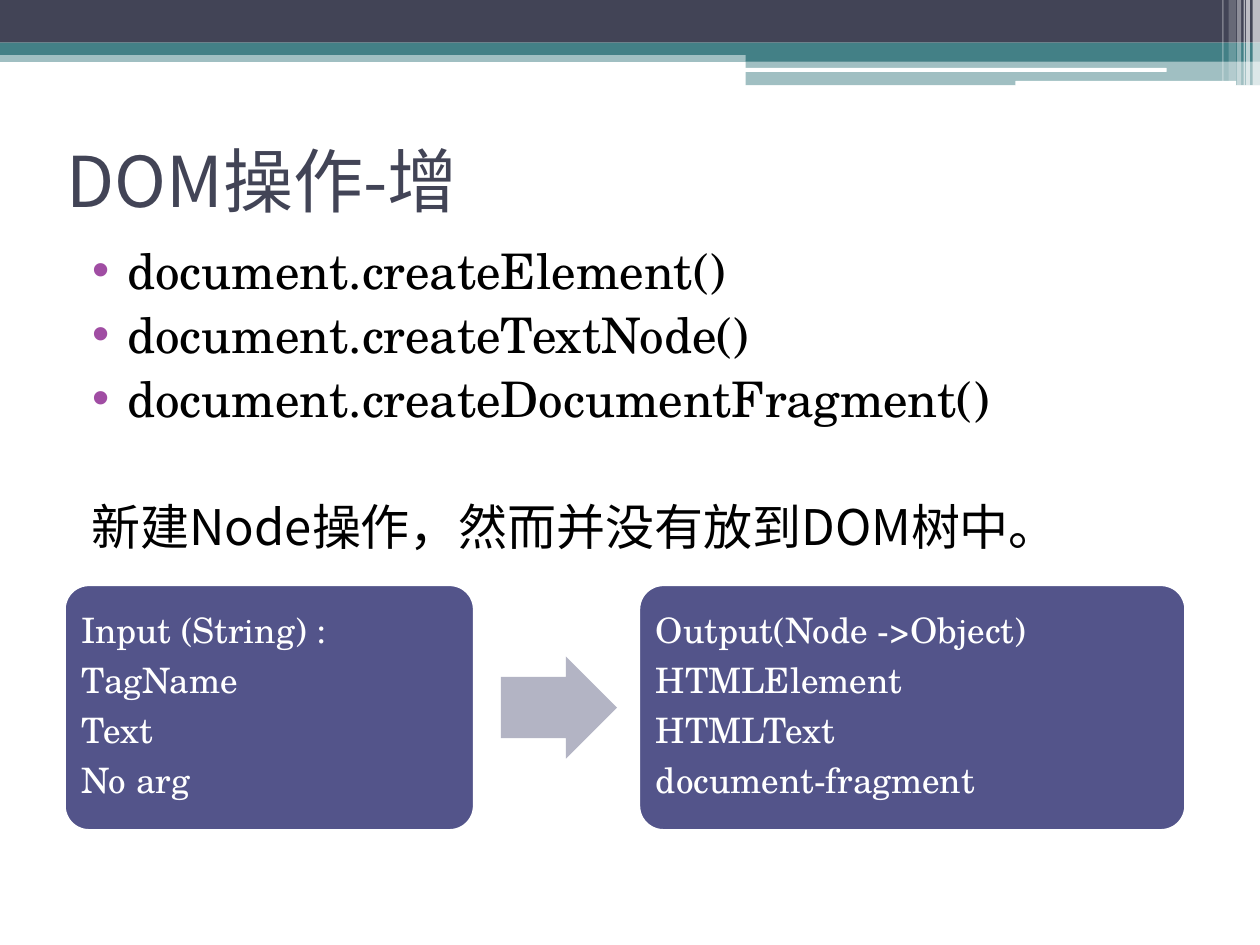
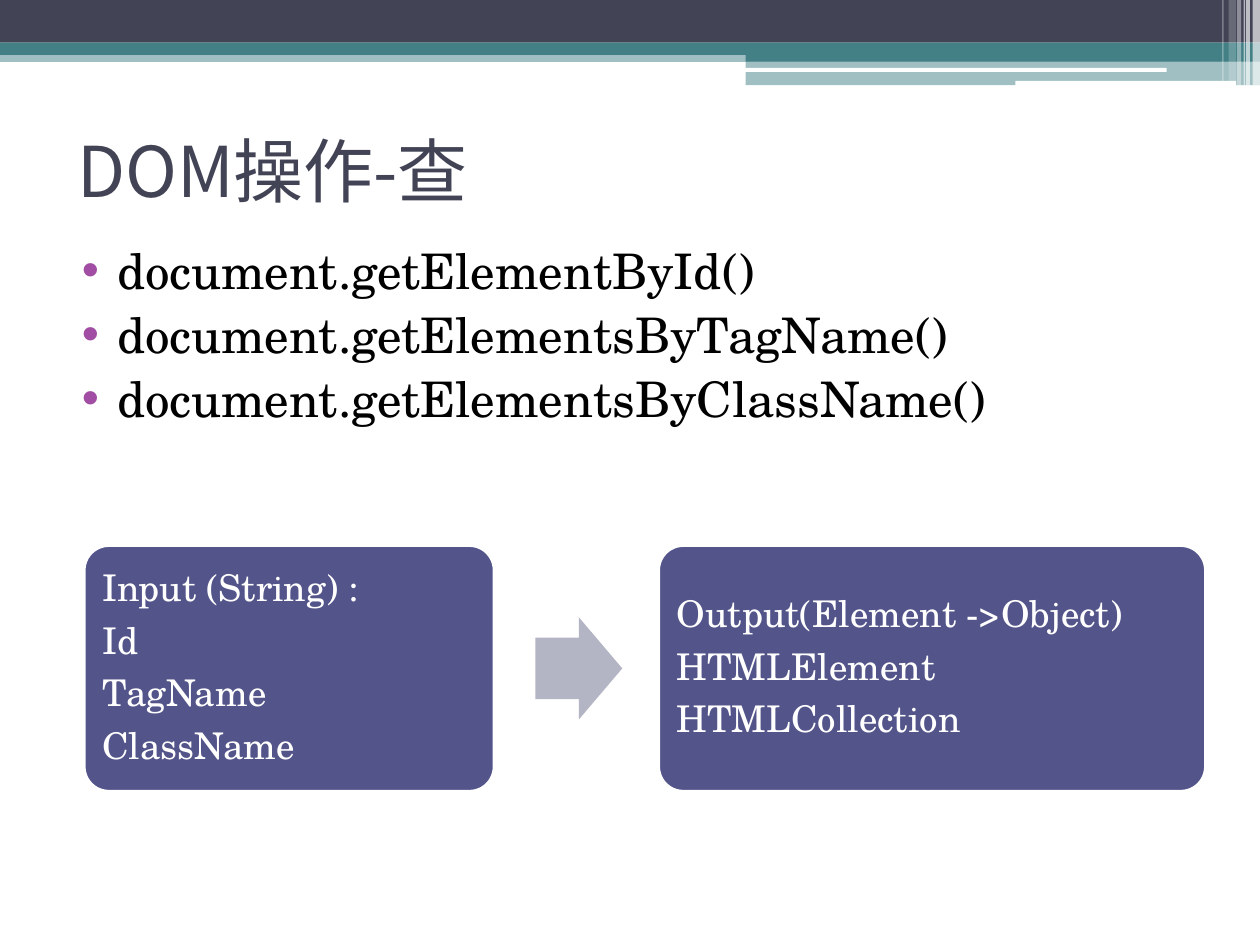
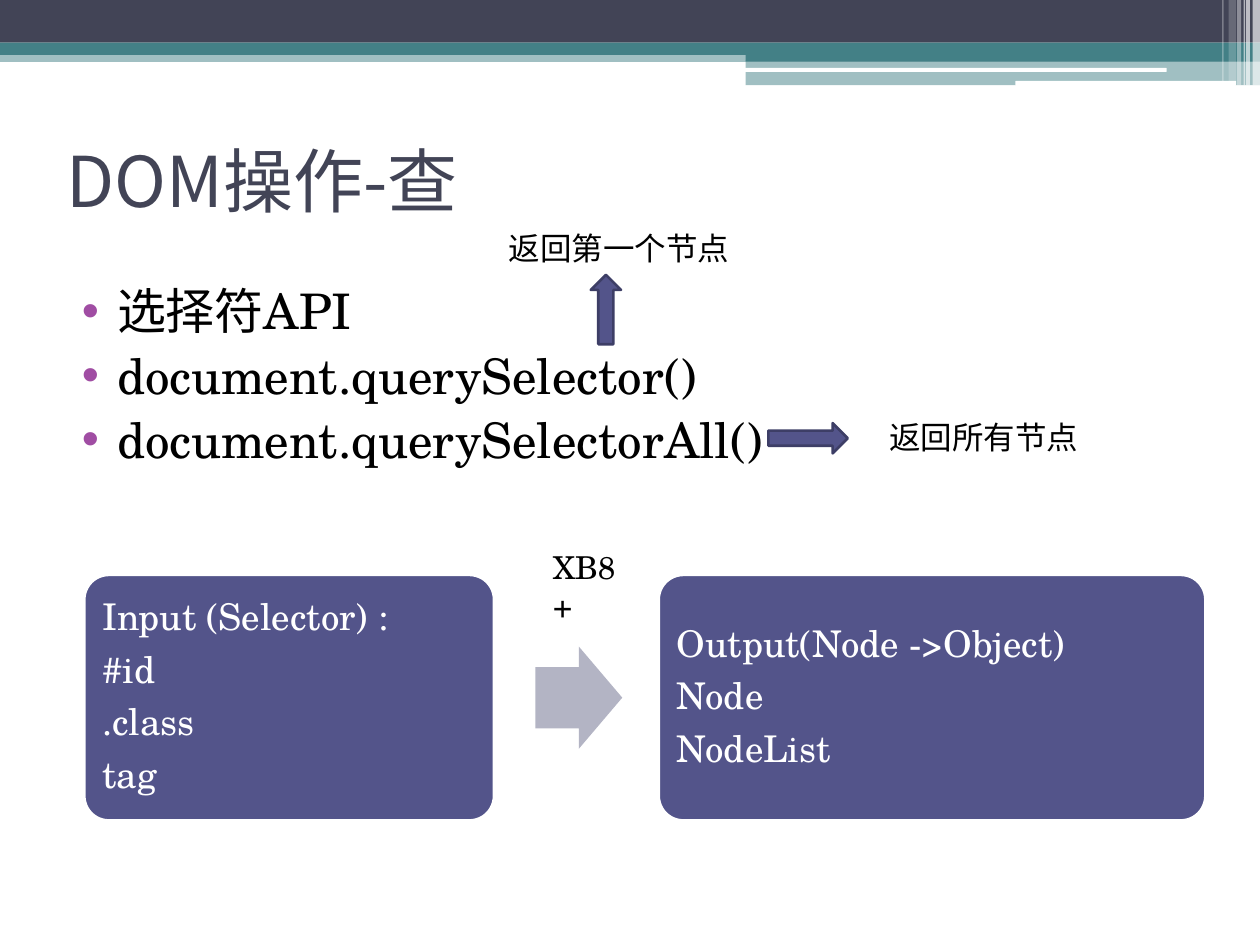
"""Build three slides about creating and querying DOM nodes."""
from dataclasses import dataclass
from typing import Optional

from lxml import etree
from pptx import Presentation
from pptx import util as u
from pptx.dml.color import RGBColor
from pptx.enum import shapes, text
from pptx.oxml.ns import qn

Cm, Pt = u.Cm, u.Pt
SHAPE, ANCHOR, FIT = shapes.MSO_SHAPE, text.MSO_ANCHOR, text.MSO_AUTO_SIZE

NAVY = RGBColor(0x42, 0x44, 0x56)
TEAL = RGBColor(0x43, 0x80, 0x86)
INDIGO = RGBColor(0x53, 0x54, 0x8A)
INDIGO_DARK = RGBColor(0x3D, 0x3E, 0x66)
LILAC = RGBColor(0xB3, 0xB4, 0xC4)
PURPLE = RGBColor(0xA0, 0x4D, 0xA3)
WHITE = RGBColor(0xFF, 0xFF, 0xFF)
BLACK = RGBColor(0, 0, 0)

SANS, SERIF = "Noto Sans CJK SC", "TeX Gyre Schola"
TITLE_ONLY = 5
CARD_HEIGHT, INPUT_WIDTH, OUTPUT_WIDTH = 4.95, 8.26, 11.02
OUTPUT_OFFSET, ARROW_CENTRE, ARROW_HEIGHT = 11.58, 9.97, 2.06


@dataclass(frozen=True)
class Box:
    """A rectangle in centimetres."""
    left: float
    top: float
    width: float
    height: float

    def lengths(self) -> list:
        """Return the four sides as lengths."""
        return [Cm(v) for v in (self.left, self.top, self.width, self.height)]


@dataclass(frozen=True)
class Band:
    """A piece of the header decoration."""
    box: Box
    color: RGBColor
    opacity: int = 100
    kind: SHAPE = SHAPE.RECTANGLE


@dataclass(frozen=True)
class Line:
    """A paragraph of the body, made of (words, font) runs."""
    runs: tuple
    bullet: bool = True
    before: float = 3


@dataclass(frozen=True)
class Flow:
    """An input card, an arrow and an output card."""
    left: float
    top: float
    arrow_width: float
    size: int
    inset: float
    inputs: tuple
    outputs: tuple


@dataclass(frozen=True)
class Note:
    """A short label beside the body."""
    box: Box
    words: str
    font: str = SANS
    wrap: bool = False


@dataclass(frozen=True)
class Page:
    """Everything one slide shows."""
    title: str
    title_at: tuple
    body: Box
    lines: tuple
    flow: Flow
    arrows: tuple = ()
    notes: tuple = ()


def strip(left: float, width: float, height: float, opacity: int) -> Band:
    """Return a translucent white strip for the right edge."""
    return Band(Box(left, 0, width, height), WHITE, opacity)


BANDS = (
    Band(Box(0, 1.02, 25.4, 0.23), TEAL, 50),
    Band(Box(0, 0, 25.4, 0.86), NAVY),
    Band(Box(0, 0.86, 25.4, 0.25), TEAL),
    Band(Box(15.03, 0.99, 10.37, 0.25), TEAL),
    Band(Box(15.03, 1.22, 10.37, 0.5), TEAL, 50),
    Band(Box(15.01, 1.37, 8.51, 0.08), WHITE, kind=SHAPE.ROUNDED_RECTANGLE),
    Band(Box(20.47, 1.63, 4.45, 0.1), WHITE, kind=SHAPE.ROUNDED_RECTANGLE),
    strip(25.25, 0.15, 1.73, 65),
    strip(25.12, 0.08, 1.73, 65),
    strip(25.07, 0.03, 1.73, 60),
    strip(24.94, 0.08, 1.73, 40),
    strip(24.77, 0.15, 1.63, 20),
    strip(24.64, 0.03, 1.63, 30),
)


def calls(*names: str) -> tuple:
    """Return bulleted lines for document methods."""
    return tuple(Line(((f"document.{name}()", SERIF),)) for name in names)


PAGES = (
    Page(
        "DOM操作-增", (1.09, 2.13), Box(1.3, 4.72, 22.86, 12.01),
        calls("createElement", "createTextNode", "createDocumentFragment")
        + (Line((("新建Node操作，然而并没有放到DOM树中。", SANS),), False, 39.6),),
        Flow(1.3, 11.79, 2.34, 20, 0.2,
             ("Input (String) :", "TagName", "Text", "No arg"),
             ("Output(Node ->Object)", "HTMLElement", "HTMLText", "document-fragment")),
    ),
    Page(
        "DOM操作-查", (1.3, 1.93), Box(1.09, 4.72, 22.86, 5.79),
        calls("getElementById", "getElementsByTagName", "getElementsByClassName"),
        Flow(1.7, 11, 1.75, 21, 0.22,
             ("Input (String) :", "Id", "TagName", "ClassName"),
             ("Output(Element ->Object)", "HTMLElement", "HTMLCollection")),
    ),
    Page(
        "DOM操作-查", (1.09, 2.13), Box(1.09, 5.54, 22.86, 12.01),
        (Line((("选择符", SANS), ("API", SERIF))),) + calls("querySelector", "querySelectorAll"),
        Flow(1.7, 11.59, 1.75, 21, 0.22,
             ("Input (Selector) :", "#id", ".class", "tag"),
             ("Output(Node ->Object)", "Node", "NodeList")),
        ((SHAPE.UP_ARROW, Box(11.91, 5.54, 0.61, 1.4)),
         (SHAPE.RIGHT_ARROW, Box(15.49, 8.53, 1.6, 0.61))),
        (Note(Box(10.01, 4.5, 5, 1.02), "返回第一个节点"),
         Note(Box(17.68, 8.31, 4.37, 1.02), "返回所有节点"),
         Note(Box(10.9, 10.92, 2.01, 1.02), "XB8+", SERIF, True)),
    ),
)


def apply(target, values: dict) -> None:
    """Set attributes from a dict of format values."""
    for name, value in values.items():
        setattr(target, name, value)


def add_run(p, words: str, font: str, size: float, color: RGBColor) -> None:
    """Add a run with its Latin and East Asian fonts."""
    r = p.add_run()
    r.text = words
    apply(r.font, {"name": font, "size": Pt(size)})
    r.font.color.rgb = color
    ea = etree.Element(qn("a:ea"), typeface=SANS)
    r.font._element.find(qn("a:latin")).addnext(ea)


def add_solid(s, kind: SHAPE, box: Box, fill: RGBColor, line: Optional[RGBColor] = None):
    """Add a flat preset shape with an optional outline."""
    sp = s.shapes.add_shape(kind, *box.lengths())
    sp.shadow.inherit = False
    sp.fill.solid()
    sp.fill.fore_color.rgb = fill
    if line is None:
        sp.line.fill.background()
    else:
        sp.line.color.rgb = line
        sp.line.width = Pt(1.5)
    return sp


def add_bands(s, layout) -> None:
    """Place the header bands on the layout behind its placeholders."""
    for index, band in enumerate(BANDS, start=2):
        sp = add_solid(s, band.kind, band.box, band.color)
        if band.opacity < 100:
            color = sp.element.find(".//" + qn("a:srgbClr"))
            etree.SubElement(color, qn("a:alpha"), val=str(band.opacity * 1000))
        layout.shapes.element.insert(index, sp.element)


def set_title(s, words: str, at: tuple) -> None:
    """Move and format the title placeholder."""
    sp = s.shapes.title
    sides = Box(*at, 22.86, 2.97).lengths()
    apply(sp, dict(zip(("left", "top", "width", "height"), sides)))
    tf = sp.text_frame
    apply(tf, {"vertical_anchor": ANCHOR.MIDDLE, "word_wrap": True, "auto_size": FIT.NONE})
    p = tf.paragraphs[0]
    p.alignment = text.PP_ALIGN.LEFT
    add_run(p, words, SANS, 40, NAVY)


def add_bullet(p) -> None:
    """Give a paragraph a hanging purple bullet."""
    pPr = p._p.get_or_add_pPr()
    color = etree.SubElement(pPr, qn("a:buClr"))
    etree.SubElement(color, qn("a:srgbClr"), val=str(PURPLE))
    etree.SubElement(pPr, qn("a:buFont"), typeface="Arial")
    etree.SubElement(pPr, qn("a:buChar"), char="•")


def add_body(s, box: Box, lines: tuple) -> None:
    """Add the main text."""
    tf = s.shapes.add_textbox(*box.lengths()).text_frame
    tf.word_wrap = True
    for index, line in enumerate(lines):
        p = tf.add_paragraph() if index else tf.paragraphs[0]
        pPr = p._p.get_or_add_pPr()
        margin, indent = (1.02, -0.71) if line.bullet else (0.3, 0)
        pPr.set("marL", str(Cm(margin)))
        pPr.set("indent", str(Cm(indent)))
        if line.bullet:
            add_bullet(p)
        if index:
            p.space_before = Pt(line.before)
        for words, font in line.runs:
            add_run(p, words, font, 28, BLACK)


def add_card(s, box: Box, words: tuple, size: int, inset: float) -> None:
    """Add a rounded card with one paragraph per entry."""
    sp = add_solid(s, SHAPE.ROUNDED_RECTANGLE, box, INDIGO, WHITE)
    sp.adjustments[0] = 0.1
    tf = sp.text_frame
    sides = ("margin_left", "margin_top", "margin_right", "margin_bottom")
    apply(tf, dict.fromkeys(sides, Cm(inset)))
    apply(tf, {"vertical_anchor": ANCHOR.MIDDLE, "word_wrap": True})
    for index, entry in enumerate(words):
        p = tf.add_paragraph() if index else tf.paragraphs[0]
        apply(p, {"alignment": text.PP_ALIGN.LEFT, "line_spacing": 0.9,
                  "space_after": Pt(0.35 * size)})
        add_run(p, entry, SERIF, size, WHITE)


def add_flow(s, flow: Flow) -> None:
    """Add the input card, the arrow and the output card."""
    cards = ((0, INPUT_WIDTH, flow.inputs), (OUTPUT_OFFSET, OUTPUT_WIDTH, flow.outputs))
    for offset, width, words in cards:
        box = Box(flow.left + offset, flow.top, width, CARD_HEIGHT)
        add_card(s, box, words, flow.size, flow.inset)
    arrow = Box(flow.left + ARROW_CENTRE - flow.arrow_width / 2,
                flow.top + (CARD_HEIGHT - ARROW_HEIGHT) / 2, flow.arrow_width, ARROW_HEIGHT)
    sp = add_solid(s, SHAPE.RIGHT_ARROW, arrow, LILAC)
    sp.adjustments[0] = 0.6


def add_note(s, note: Note) -> None:
    """Add a label that grows with its text."""
    tf = s.shapes.add_textbox(*note.box.lengths()).text_frame
    apply(tf, {"word_wrap": note.wrap, "auto_size": FIT.SHAPE_TO_FIT_TEXT})
    add_run(tf.paragraphs[0], note.words, note.font, 18, BLACK)


def add_page(prs, layout, page: Page):
    """Add one slide and return it."""
    s = prs.slides.add_slide(layout)
    set_title(s, page.title, page.title_at)
    add_body(s, page.body, page.lines)
    add_flow(s, page.flow)
    for kind, box in page.arrows:
        add_solid(s, kind, box, INDIGO, INDIGO_DARK)
    for note in page.notes:
        add_note(s, note)
    return s


def main() -> None:
    """Build and save the presentation."""
    prs = Presentation()
    apply(prs, {"slide_width": Cm(25.4), "slide_height": Cm(19.05)})
    layout = prs.slide_layouts[TITLE_ONLY]
    slides = [add_page(prs, layout, page) for page in PAGES]
    add_bands(slides[0], layout)
    prs.save("out.pptx")


if __name__ == "__main__":
    main()
